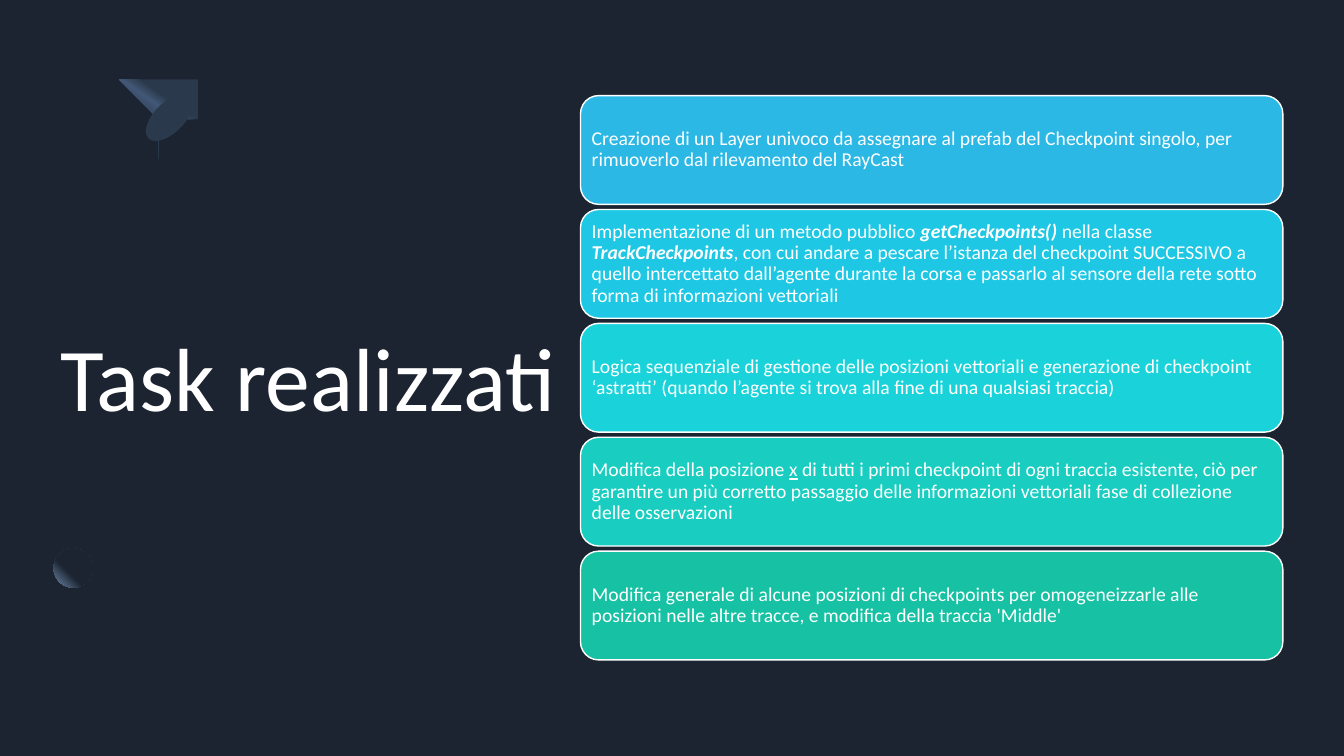
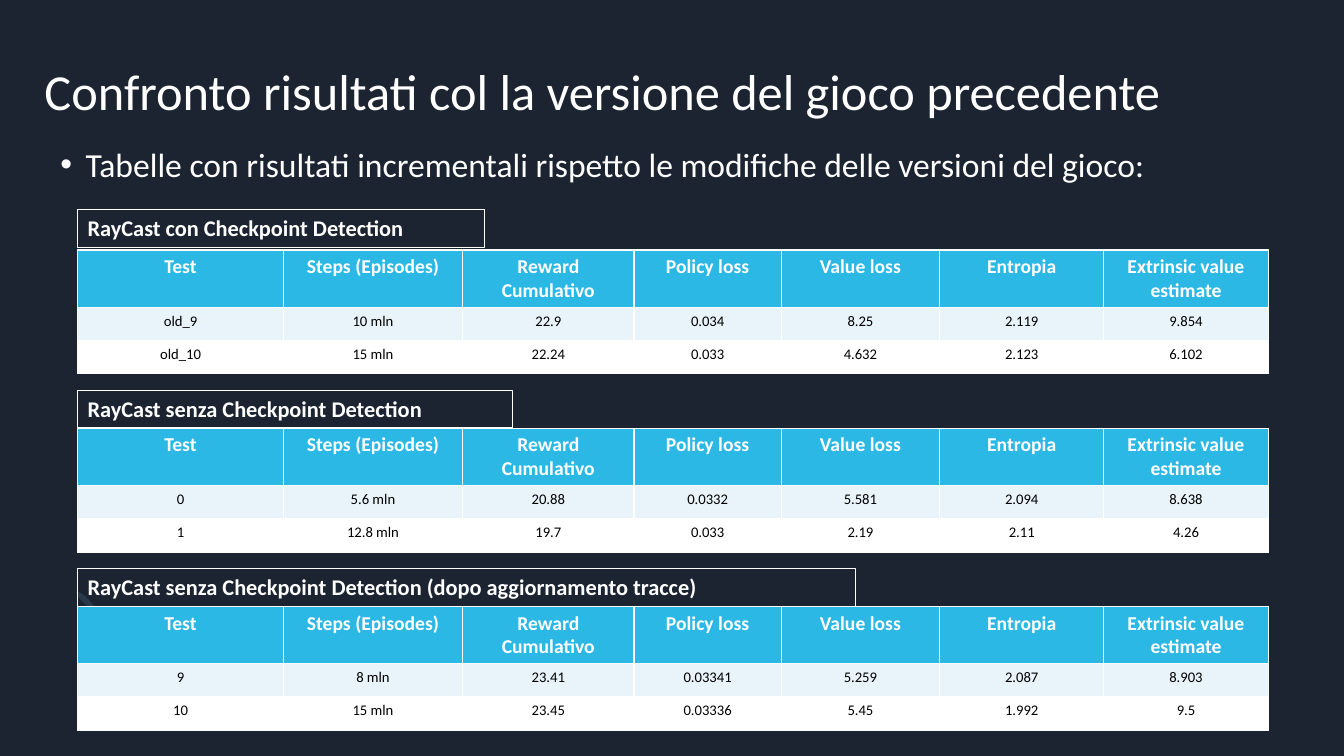
"""Build two dark slides: a list of completed tasks and a comparison of test results."""
from dataclasses import dataclass

from lxml import etree
from pptx import Presentation
from pptx.dml.color import RGBColor
from pptx.enum.shapes import MSO_SHAPE
from pptx.enum.text import MSO_ANCHOR, PP_ALIGN
from pptx.oxml import parse_xml
from pptx.oxml.ns import nsdecls, qn
from pptx.util import Cm, Pt

RECTANGLE = MSO_SHAPE.RECTANGLE
ROUNDED = MSO_SHAPE.ROUNDED_RECTANGLE
ELLIPSE = MSO_SHAPE.OVAL
TOP = MSO_ANCHOR.TOP
MIDDLE = MSO_ANCHOR.MIDDLE
LEFT = PP_ALIGN.LEFT
CENTER = PP_ALIGN.CENTER


@dataclass(frozen=True)
class Theme:
    font: str = "Calibri"
    background: str = "1B2430"
    white: str = "FFFFFF"
    black: str = "000000"
    accent: str = "2BB8E5"
    stripe: str = "E8F3FA"
    solid: str = "2B394C"
    sheen: str = "425876"
    glow: str = "748EB1"
    cards: tuple = ("2BB8E5", "1EC8E4", "1AD3DA", "19CDC1", "17C1A4")
    hero_size: float = 64
    title_size: float = 36
    lead_size: float = 24
    label_size: float = 16
    text_size: float = 14
    cell_size: float = 10.5


THEME = Theme()

TASKS = (
    (("Creazione di un Layer univoco da assegnare al prefab del Checkpoint singolo, "
      "per rimuoverlo dal rilevamento del RayCast", ""),),
    (("Implementazione di un metodo pubblico ", ""),
     ("getCheckpoints()", "bi"),
     (" nella classe ", ""),
     ("TrackCheckpoints", "bi"),
     (", con cui andare a pescare l’istanza del checkpoint SUCCESSIVO a quello "
      "intercettato dall’agente durante la corsa e passarlo al sensore della rete "
      "sotto forma di informazioni vettoriali", "")),
    (("Logica sequenziale di gestione delle posizioni vettoriali e generazione di "
      "checkpoint ‘astratti’ (quando l’agente si trova alla fine di una qualsiasi "
      "traccia)", ""),),
    (("Modifica della posizione ", ""),
     ("x", "u"),
     (" di tutti i primi checkpoint di ogni traccia esistente, ciò per garantire un "
      "più corretto passaggio delle informazioni vettoriali fase di collezione delle "
      "osservazioni", "")),
    (("Modifica generale di alcune posizioni di checkpoints per omogeneizzarle alle "
      "posizioni nelle altre tracce, e modifica della traccia 'Middle'", ""),),
)

HEADER = ("Test", "Steps (Episodes)", "Reward Cumulativo", "Policy loss",
          "Value loss", "Entropia", "Extrinsic value estimate")
COLUMN_WIDTHS = (5.18, 4.52, 4.32, 3.71, 3.99, 4.14, 4.14)
ROW_HEIGHTS = (1.44, 0.84, 0.84)

RESULTS = (
    ("RayCast con Checkpoint Detection", 5.28, 10.26, (
        ("old_9", "10 mln", "22.9", "0.034", "8.25", "2.119", "9.854"),
        ("old_10", "15 mln", "22.24", "0.033", "4.632", "2.123", "6.102"))),
    ("RayCast senza Checkpoint Detection", 9.83, 10.95, (
        ("0", "5.6 mln", "20.88", "0.0332", "5.581", "2.094", "8.638"),
        ("1", "12.8 mln", "19.7", "0.033", "2.19", "2.11", "4.26"))),
    ("RayCast senza Checkpoint Detection (dopo aggiornamento tracce)", 14.33, 19.61, (
        ("9", "8 mln", "23.41", "0.03341", "5.259", "2.087", "8.903"),
        ("10", "15 mln", "23.45", "0.03336", "5.45", "1.992", "9.5"))),
)

CONE = (
    ((3.28, 1.98),), ((4.72, 2.39),),
    ((4.75, 2.41), (4.78, 2.41), (4.78, 2.44)),
    ((4.93, 2.59), (4.8, 2.95), (4.52, 3.23)),
    ((4.22, 3.53), (3.86, 3.63), (3.73, 3.51)),
    ((3.71, 3.48), (3.68, 3.45), (3.68, 3.43)),
)
LARGE_RING = (
    ((12.19, 15.77),),
    ((12.98, 15.72), (13.79, 16.05), (14.43, 16.69)),
    ((13.54, 17.6),),
    ((12.95, 17.02), (12.09, 16.97), (11.58, 17.48)),
    ((11.23, 17.86), (11.15, 18.44), (11.38, 18.95)),
    ((11.43, 19.05),), ((10.01, 19.05),), ((9.96, 18.87),),
    ((9.75, 17.98), (9.93, 17.07), (10.57, 16.46)),
    ((11, 16), (11.58, 15.77), (12.19, 15.77)),
)
SMALL_RING = (
    ((1.93, 16.74),),
    ((1.42, 16.23), (1.47, 15.37), (2.06, 14.78)),
    ((2.51, 15.24),),
    ((2.21, 15.52), (2.18, 15.98), (2.44, 16.21)),
    ((2.69, 16.46), (3.12, 16.43), (3.43, 16.15)),
    ((3.86, 16.61),),
    ((3.3, 17.17), (2.41, 17.25), (1.93, 16.74)),
)


def color(code):
    return RGBColor.from_string(code)


def curve_points(segments, steps=12):
    points = [segments[0][0]]
    for segment in segments[1:]:
        if len(segment) == 1:
            points.append(segment[0])
            continue
        controls = (points[-1], *segment)
        for step in range(1, steps + 1):
            t = step / steps
            weights = ((1 - t) ** 3, 3 * t * (1 - t) ** 2, 3 * t * t * (1 - t), t ** 3)
            points.append(tuple(sum(weight * control[axis]
                                    for weight, control in zip(weights, controls))
                                for axis in (0, 1)))
    return points


class Painter:
    def __init__(self, theme):
        self.theme = theme
        self.deck = Presentation()
        self.deck.slide_width = Cm(33.87)
        self.deck.slide_height = Cm(19.05)
        self.page = None

    def new_page(self):
        self.page = self.deck.slides.add_slide(self.deck.slide_layouts[6])
        fill = self.page.background.fill
        fill.solid()
        fill.fore_color.rgb = color(self.theme.background)

    def style(self, shape, fill=None, line=None, width=1):
        shape.shadow.inherit = False
        if fill:
            shape.fill.solid()
            shape.fill.fore_color.rgb = color(fill)
        else:
            shape.fill.background()
        if line:
            shape.line.color.rgb = color(line)
            shape.line.width = Pt(width)
        else:
            shape.line.fill.background()
        return shape

    def shape(self, kind, left, top, width, height, fill=None, line=None,
              line_width=1, rotation=0):
        shape = self.page.shapes.add_shape(kind, Cm(left), Cm(top), Cm(width), Cm(height))
        shape.rotation = rotation
        return self.style(shape, fill, line, line_width)

    def outline(self, segments, fill):
        points = curve_points(segments)
        builder = self.page.shapes.build_freeform(*points[0], scale=Cm(1))
        builder.add_line_segments(points[1:], close=True)
        return self.style(builder.convert_to_shape(), fill)

    def gradient(self, shape, stops, direction):
        marks = "".join(f'<a:gs pos="{place * 1000}"><a:srgbClr val="{code}"/></a:gs>'
                        for place, code in stops)
        properties = shape.element.spPr
        properties.replace(properties.find(qn("a:solidFill")), parse_xml(
            f'<a:gradFill {nsdecls("a")} rotWithShape="1"><a:gsLst>{marks}</a:gsLst>'
            f'{direction}</a:gradFill>'))

    def fade(self, shape, percent):
        tint = shape.element.spPr.find(qn("a:solidFill"))[0]
        etree.SubElement(tint, qn("a:alpha"), val=str(percent * 1000))

    def soften(self, shape, points):
        effects = shape.element.spPr.find(qn("a:effectLst"))
        etree.SubElement(effects, qn("a:softEdge"), rad=str(Pt(points)))

    def add_spans(self, frame, spans, size, ink, bold=False, anchor=TOP, align=LEFT,
                  spacing=None, insets=None, bullet=None):
        frame.word_wrap = True
        frame.vertical_anchor = anchor
        if insets is not None:
            frame.margin_left = frame.margin_right = Cm(insets)
            frame.margin_top = frame.margin_bottom = Cm(insets)
        para = frame.paragraphs[0]
        para.alignment = align
        if spacing:
            para.line_spacing = spacing
        if bullet:
            properties = para._p.get_or_add_pPr()
            properties.set("marL", str(Cm(0.64)))
            properties.set("indent", str(-Cm(0.64)))
            etree.SubElement(properties, qn("a:buFont"), typeface="Arial")
            etree.SubElement(properties, qn("a:buChar"), char=bullet)
        for text, marks in spans:
            span = para.add_run()
            span.text = text
            font = span.font
            font.name = self.theme.font
            font.size = Pt(size)
            font.color.rgb = color(ink)
            font.bold = bold or "b" in marks
            font.italic = "i" in marks
            font.underline = "u" in marks

    def text(self, left, top, width, height, content, size, **options):
        box = self.page.shapes.add_textbox(Cm(left), Cm(top), Cm(width), Cm(height))
        self.add_spans(box.text_frame, [(content, "")], size, self.theme.white,
                       insets=0, **options)

    def card(self, left, top, width, height, fill, spans):
        box = self.shape(ROUNDED, left, top, width, height, fill, self.theme.white)
        self.add_spans(box.text_frame, spans, self.theme.text_size, self.theme.white,
                       anchor=MIDDLE, spacing=0.9, insets=0.15)

    def label(self, left, top, width, content):
        box = self.shape(RECTANGLE, left, top, width, 0.95,
                         line=self.theme.white, line_width=0.75)
        self.add_spans(box.text_frame, [(content, "")], self.theme.label_size,
                       self.theme.white, bold=True)

    def border(self, cell):
        properties = cell._tc.get_or_add_tcPr()
        for position, side in enumerate(("lnL", "lnR", "lnT", "lnB")):
            properties.insert(position, parse_xml(
                f'<a:{side} {nsdecls("a")} w="{Pt(1)}"><a:solidFill>'
                f'<a:srgbClr val="{self.theme.white}"/></a:solidFill></a:{side}>'))

    def table(self, left, top, rows):
        theme = self.theme
        table = self.page.shapes.add_table(
            len(rows), len(COLUMN_WIDTHS), Cm(left), Cm(top),
            Cm(sum(COLUMN_WIDTHS)), Cm(sum(ROW_HEIGHTS))).table
        for column, width in zip(table.columns, COLUMN_WIDTHS):
            column.width = Cm(width)
        fills = (theme.accent, theme.stripe, theme.white)
        for index, (values, height, fill) in enumerate(zip(rows, ROW_HEIGHTS, fills)):
            table.rows[index].height = Cm(height)
            heading = index == 0
            size = theme.text_size if heading else theme.cell_size
            ink = theme.white if heading else theme.black
            for column, value in enumerate(values):
                cell = table.cell(index, column)
                cell.fill.solid()
                cell.fill.fore_color.rgb = color(fill)
                self.border(cell)
                self.add_spans(cell.text_frame, [(value, "")], size, ink,
                               bold=heading, align=CENTER)


def tasks_page(painter):
    theme = painter.theme
    painter.new_page()
    painter.text(1.52, 4.22, 12.6, 10.49, "Task realizzati", theme.hero_size, anchor=MIDDLE)
    cone = painter.outline(CONE, theme.solid)
    painter.gradient(cone, ((30, theme.solid), (40, theme.sheen), (60, theme.solid),
                            (100, theme.background)), '<a:lin ang="7500000" scaled="0"/>')
    painter.shape(ELLIPSE, 3.89, 2.21, 0.76, 1.5, theme.solid, rotation=45)
    sphere = painter.shape(ELLIPSE, 1.35, 13.82, 0.99, 0.99, theme.glow)
    painter.gradient(sphere, ((60, theme.background), (100, theme.glow)),
                     '<a:path path="circle"><a:fillToRect l="100000" b="100000"/></a:path>')
    ring = painter.outline(LARGE_RING, theme.glow)
    painter.fade(ring, 40)
    painter.soften(ring, 18)
    for index, (fill, spans) in enumerate(zip(theme.cards, TASKS)):
        painter.card(14.63, 2.41 + 2.87 * index, 17.7, 2.74, fill, spans)


def results_page(painter):
    theme = painter.theme
    painter.new_page()
    for left, top in ((3.43, 16.18), (2.08, 14.81)):
        painter.shape(ELLIPSE, left, top, 0.15, 0.66, theme.solid, rotation=135)
    painter.fade(painter.outline(SMALL_RING, theme.glow), 20)
    painter.text(1.12, 1.52, 32.33, 2.01,
                 "Confronto risultati col la versione del gioco precedente", theme.title_size)
    painter.text(1.52, 3.53, 30.81, 1.09,
                 "Tabelle con risultati incrementali rispetto le modifiche delle versioni del gioco:",
                 theme.lead_size, spacing=1.1, bullet="•")
    for index, (name, label_top, label_width, rows) in enumerate(RESULTS):
        painter.table(1.96, 6.3 + 4.49 * index, (HEADER, *rows))
        painter.label(1.96, label_top, label_width, name)


def main():
    painter = Painter(THEME)
    tasks_page(painter)
    results_page(painter)
    painter.deck.save("out.pptx")


if __name__ == "__main__":
    main()
